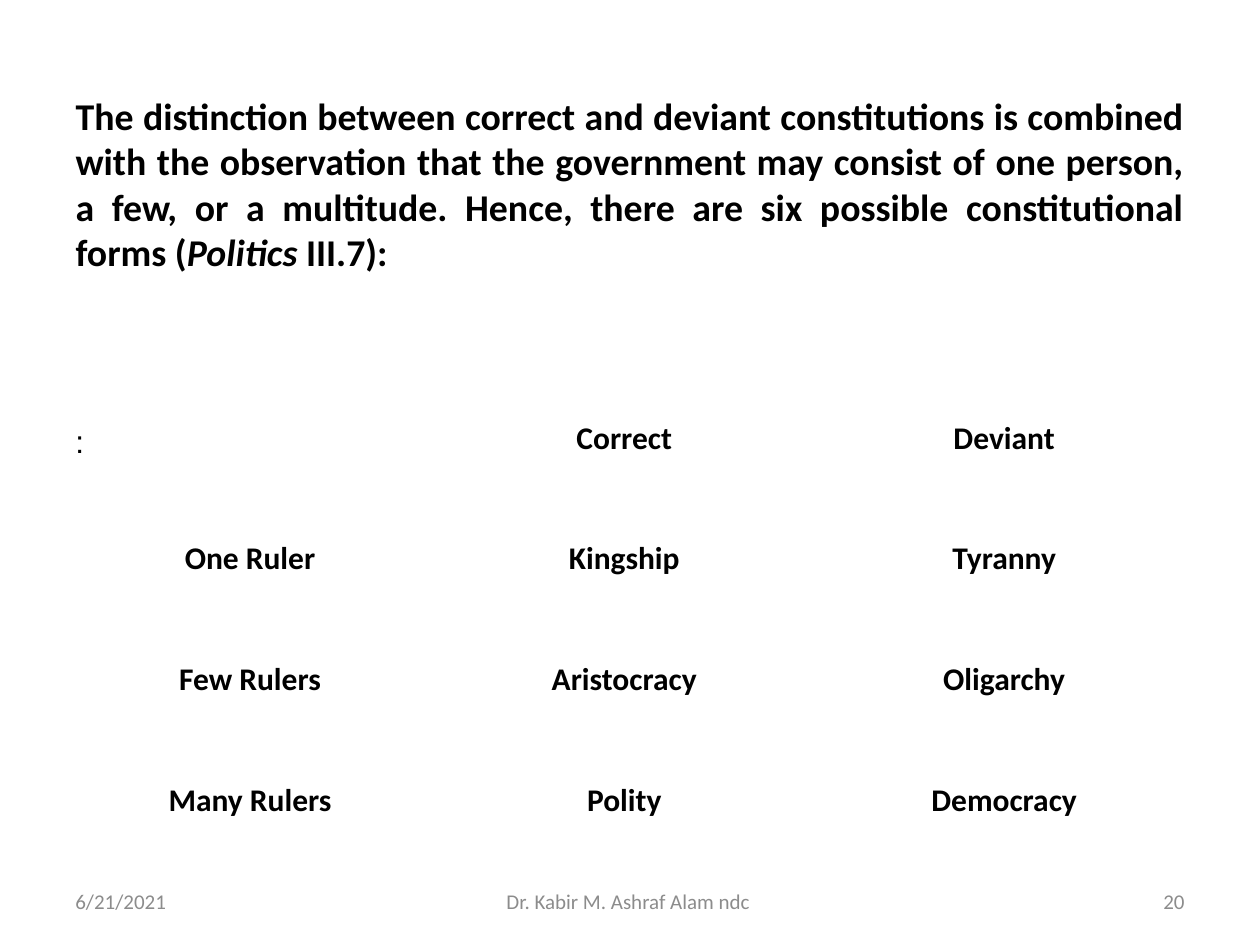
from dataclasses import dataclass

from pptx import Presentation
from pptx import util as u
from pptx.dml.color import RGBColor
from pptx.enum import text


@dataclass(frozen=True)
class Theme:
    body_font: str = "Calibri"
    mark_font: str = "Arial"
    ink: str = "000000"
    muted: str = "8C8C8C"
    title_size: float = 21.6
    table_size: float = 18
    footer_size: float = 12


class SlideBuilder:
    """Holds the theme and the current slide."""

    def __init__(self, slide, theme):
        self.slide = slide
        self.theme = theme

    def style(self, paragraph, size, color, align, name=None, bold=False):
        paragraph.alignment = align
        font = paragraph.font
        font.name = name or self.theme.body_font
        font.size = u.Pt(size)
        font.bold = bold
        font.color.rgb = RGBColor.from_string(color)

    def title(self, box, runs):
        heading = self.slide.shapes.title
        heading.left, heading.top, heading.width, heading.height = map(u.Inches, box)
        frame = heading.text_frame
        frame.auto_size = text.MSO_AUTO_SIZE.NONE
        frame.vertical_anchor = text.MSO_ANCHOR.MIDDLE
        paragraph = frame.paragraphs[0]
        self.style(paragraph, self.theme.title_size, self.theme.ink,
                   text.PP_ALIGN.JUSTIFY, bold=True)
        for words, italic in runs:
            run = paragraph.add_run()
            run.text = words
            run.font.italic = italic

    def table(self, box, column_widths, rows):
        grid = self.slide.shapes.add_table(
            len(rows), len(column_widths), *map(u.Inches, box)).table
        grid.first_row = grid.horz_banding = False
        for column, width in zip(grid.columns, column_widths):
            column.width = u.Inches(width)
        for r, row in enumerate(rows):
            for c, words in enumerate(row):
                self.cell(grid.cell(r, c), words)

    def cell(self, cell, words):
        cell.fill.background()
        cell.vertical_anchor = text.MSO_ANCHOR.MIDDLE
        cell.margin_left = cell.margin_right = u.Inches(0.04)
        cell.margin_top = cell.margin_bottom = u.Inches(0.04)
        cell.text = words
        self.style(cell.text_frame.paragraphs[0], self.theme.table_size,
                   self.theme.ink, text.PP_ALIGN.CENTER, bold=True)

    def label(self, box, words, size, color, align=text.PP_ALIGN.LEFT, name=None):
        frame = self.slide.shapes.add_textbox(*map(u.Inches, box)).text_frame
        frame.word_wrap = True
        frame.vertical_anchor = text.MSO_ANCHOR.MIDDLE
        frame.text = words
        self.style(frame.paragraphs[0], size, color, align, name)


def main():
    deck = Presentation()
    deck.slide_width, deck.slide_height = u.Inches(10), u.Inches(7.5)
    theme = Theme()
    title_only = deck.slide_layouts[5]
    page = SlideBuilder(deck.slides.add_slide(title_only), theme)

    # Introductory statement
    page.title((0.5, 0.83, 9, 1.25), [
        ("The distinction between correct and deviant constitutions is combined "
         "with the observation that the government may consist of one person, "
         "a few, or a multitude. Hence, there are six possible constitutional "
         "forms (", False),
        ("Politics", True),
        (" III.7):", False),
    ])

    # Six constitutional forms
    page.table((0.5, 3, 9, 3.83), (2.97, 2.97, 3.06), [
        ("", "Correct", "Deviant"),
        ("One Ruler", "Kingship", "Tyranny"),
        ("Few Rulers", "Aristocracy", "Oligarchy"),
        ("Many Rulers", "Polity", "Democracy"),
    ])

    # Colon beside the table header
    page.label((0.5, 3.25, 9.5, 0.5), ":", theme.table_size, theme.ink,
               name=theme.mark_font)

    # Footer: number, date, author
    footer = [
        (7.17, 2.33, "20", text.PP_ALIGN.RIGHT),
        (0.5, 2.33, "6/21/2021", text.PP_ALIGN.LEFT),
        (3.42, 3.17, "Dr. Kabir M. Ashraf Alam ndc ", text.PP_ALIGN.CENTER),
    ]
    for left, width, words, align in footer:
        page.label((left, 6.95, width, 0.4), words, theme.footer_size,
                   theme.muted, align)

    deck.save("out.pptx")


if __name__ == "__main__":
    main()
